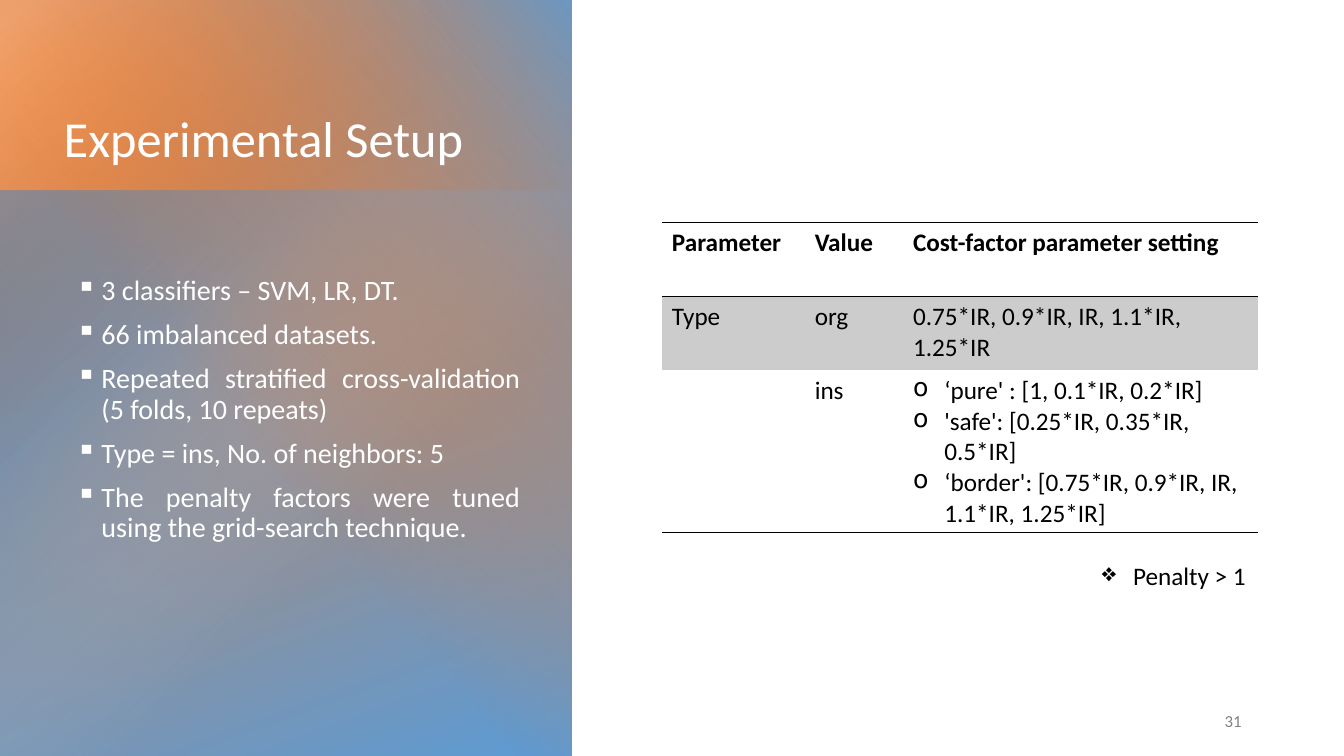
from dataclasses import dataclass

from pptx import Presentation
from pptx.dml.color import RGBColor
from pptx.enum.shapes import MSO_SHAPE
from pptx.enum.text import MSO_ANCHOR, PP_ALIGN
from pptx.oxml import parse_xml
from pptx.oxml.ns import nsdecls, qn
from pptx.util import Inches, Pt

RECT = MSO_SHAPE.RECTANGLE
TOP, MIDDLE, BOTTOM = MSO_ANCHOR.TOP, MSO_ANCHOR.MIDDLE, MSO_ANCHOR.BOTTOM
LEFT, RIGHT, JUSTIFY = PP_ALIGN.LEFT, PP_ALIGN.RIGHT, PP_ALIGN.JUSTIFY

# The slide is a grid of 160 columns by 90 rows, all cells square.
COLS, ROWS = 160, 90
CELL = Inches(7.5) / ROWS


@dataclass(frozen=True)
class Theme:
    font: str = "Calibri"
    white: str = "FFFFFF"
    black: str = "000000"
    gray: str = "808080"
    band: str = "CCCCCC"
    orange: str = "ED7D31"
    peach: str = "F4B183"
    blue: str = "5B9BD5"
    deep_blue: str = "2E75B6"
    pale_blue: str = "9DC3E6"
    title: int = 36
    body: int = 20
    table: int = 18
    page: int = 12
    rule: int = 1


T = Theme()

TITLE = "Experimental Setup"
SETUP = [
    "3 classifiers – SVM, LR, DT.",
    "66 imbalanced datasets.",
    "Repeated stratified cross-validation (5 folds, 10 repeats)",
    "Type = ins, No. of neighbors: 5",
    "The penalty factors were tuned using the grid-search technique.",
]
PARAMETERS = [
    ["Parameter", "Value", "Cost-factor parameter setting"],
    ["Type", "org", "0.75*IR, 0.9*IR, IR, 1.1*IR, 1.25*IR"],
    ["", "ins", [
        "‘pure' : [1, 0.1*IR, 0.2*IR]",
        "'safe': [0.25*IR, 0.35*IR, 0.5*IR]",
        "‘border': [0.75*IR, 0.9*IR, IR, 1.1*IR, 1.25*IR]",
    ]],
]
PENALTY = "Penalty > 1"
PAGE = "31"

# Boxes are left, top, width, height in grid cells.
TITLE_BOX = (6.4, 9.7, 52.2, 10.9)
SETUP_BOX = (7.9, 32.3, 55.2, 46.2)
PENALTY_BOX = (130, 66.1, 19.8, 4.8)
PAGE_BOX = (113, 83.4, 36, 4.8)
TABLE_AT = (78.8, 26.5)
TABLE_COLS = (17, 11.7, 42.3)
TABLE_ROWS = (8.8, 8.8, 19.3)

PANEL_X, PANEL_W, PANEL_H = -0.25, 68.3, 90.25
SHADE_TOP, GLOW_W = 22.7, 50.3
TURN = (PANEL_W - PANEL_H) / 2

# Box, rotation, gradient angle (None means circular), stops of position, colour, opacity.
PANEL_LAYERS = [
    ((PANEL_X, 0, PANEL_W, PANEL_H), 0, 70,
     [(7, T.orange, 100), (100, T.blue, 100)]),
    ((PANEL_X, SHADE_TOP, PANEL_W, PANEL_H - SHADE_TOP), 180, None,
     [(0, T.deep_blue, 100), (60, T.pale_blue, 0)]),
    ((PANEL_X, 0, GLOW_W, PANEL_H), 0, 50,
     [(3, T.peach, 78), (42, T.orange, 0)]),
    ((PANEL_X + TURN, -TURN, PANEL_H, PANEL_W), 270, 230,
     [(0, T.blue, 86), (57, T.orange, 0)]),
]


def cells(*values):
    return [round(v * CELL) for v in values]


def write(tf, lines, size, color, bold=False, align=LEFT, anchor=TOP, wrap=True,
          bullet=None, indent=0, spacing=None, before=0):
    """Fill a text frame with one paragraph per line."""
    tf.word_wrap = wrap
    tf.vertical_anchor = anchor
    for i, line in enumerate([lines] if isinstance(lines, str) else lines):
        p = tf.paragraphs[0] if i == 0 else tf.add_paragraph()
        p.alignment = align
        if spacing:
            p.line_spacing = spacing
        if i and before:
            p.space_before = Pt(before)
        if bullet:
            pPr = p._p.get_or_add_pPr()
            pPr.set("marL", str(Inches(indent)))
            pPr.set("indent", str(-Inches(indent)))
            pPr.append(parse_xml(f'<a:buChar {nsdecls("a")} char="{bullet}"/>'))
        r = p.add_run()
        r.text = line
        r.font.name, r.font.size, r.font.bold = T.font, Pt(size), bold
        r.font.color.rgb = RGBColor.from_string(color)


def add_text(slide, box, lines, size, color, **style):
    tf = slide.shapes.add_textbox(*cells(*box)).text_frame
    write(tf, lines, size, color, **style)


def add_gradient(slide, box, rotation, angle, stops):
    sp = slide.shapes.add_shape(RECT, *cells(*box))
    sp.rotation = rotation
    sp.shadow.inherit = False
    sp.line.fill.background()
    sp.fill.background()
    stop_xml = "".join(
        f'<a:gs pos="{pos * 1000}"><a:srgbClr val="{color}">'
        f'<a:alpha val="{opacity * 1000}"/></a:srgbClr></a:gs>'
        for pos, color, opacity in stops)
    if angle is None:
        course = '<a:path path="circle"><a:fillToRect r="100000" b="100000"/></a:path>'
    else:
        course = f'<a:lin ang="{angle * 60000}" scaled="0"/>'
    spPr = sp._element.spPr
    spPr.replace(spPr.find(qn("a:noFill")), parse_xml(
        f'<a:gradFill {nsdecls("a")} rotWithShape="1">'
        f'<a:gsLst>{stop_xml}</a:gsLst>{course}</a:gradFill>'))


def set_borders(cell, ruled):
    """Rule the named sides (T, B) and clear the others."""
    tcPr = cell._tc.get_or_add_tcPr()
    for i, side in enumerate("LRTB"):
        paint = (f'<a:solidFill><a:srgbClr val="{T.black}"/></a:solidFill>'
                 if side in ruled else "<a:noFill/>")
        tcPr.insert(i, parse_xml(
            f'<a:ln{side} {nsdecls("a")} w="{Pt(T.rule)}">{paint}</a:ln{side}>'))


def add_parameters(slide):
    size = cells(sum(TABLE_COLS), sum(TABLE_ROWS))
    table = slide.shapes.add_table(
        len(TABLE_ROWS), len(TABLE_COLS), *cells(*TABLE_AT), *size).table
    table.first_row = table.horz_banding = False
    for column, width in zip(table.columns, cells(*TABLE_COLS)):
        column.width = width
    for row, height in zip(table.rows, cells(*TABLE_ROWS)):
        row.height = height
    for i, (values, ruled) in enumerate(zip(PARAMETERS, ("TB", "T", "B"))):
        for j, value in enumerate(values):
            cell = table.cell(i, j)
            if i == 1:
                cell.fill.solid()
                cell.fill.fore_color.rgb = RGBColor.from_string(T.band)
            else:
                cell.fill.background()
            set_borders(cell, ruled)
            if value:
                bullet = "o" if isinstance(value, list) else None
                write(cell.text_frame, value, T.table, T.black, bold=i == 0,
                      bullet=bullet, indent=0.31)


def main():
    prs = Presentation()
    prs.slide_width, prs.slide_height = cells(COLS, ROWS)
    slide = prs.slides.add_slide(prs.slide_layouts[6])
    for layer in PANEL_LAYERS:
        add_gradient(slide, *layer)
    add_text(slide, TITLE_BOX, TITLE, T.title, T.white, anchor=BOTTOM, spacing=0.9)
    add_text(slide, SETUP_BOX, SETUP, T.body, T.white, align=JUSTIFY,
             bullet="▪", indent=0.25, spacing=0.9, before=10)
    add_text(slide, PAGE_BOX, PAGE, T.page, T.gray, align=RIGHT, anchor=MIDDLE)
    add_parameters(slide)
    add_text(slide, PENALTY_BOX, PENALTY, T.table, T.black, wrap=False,
             bullet="❖", indent=0.31)
    prs.save("out.pptx")


if __name__ == "__main__":
    main()
